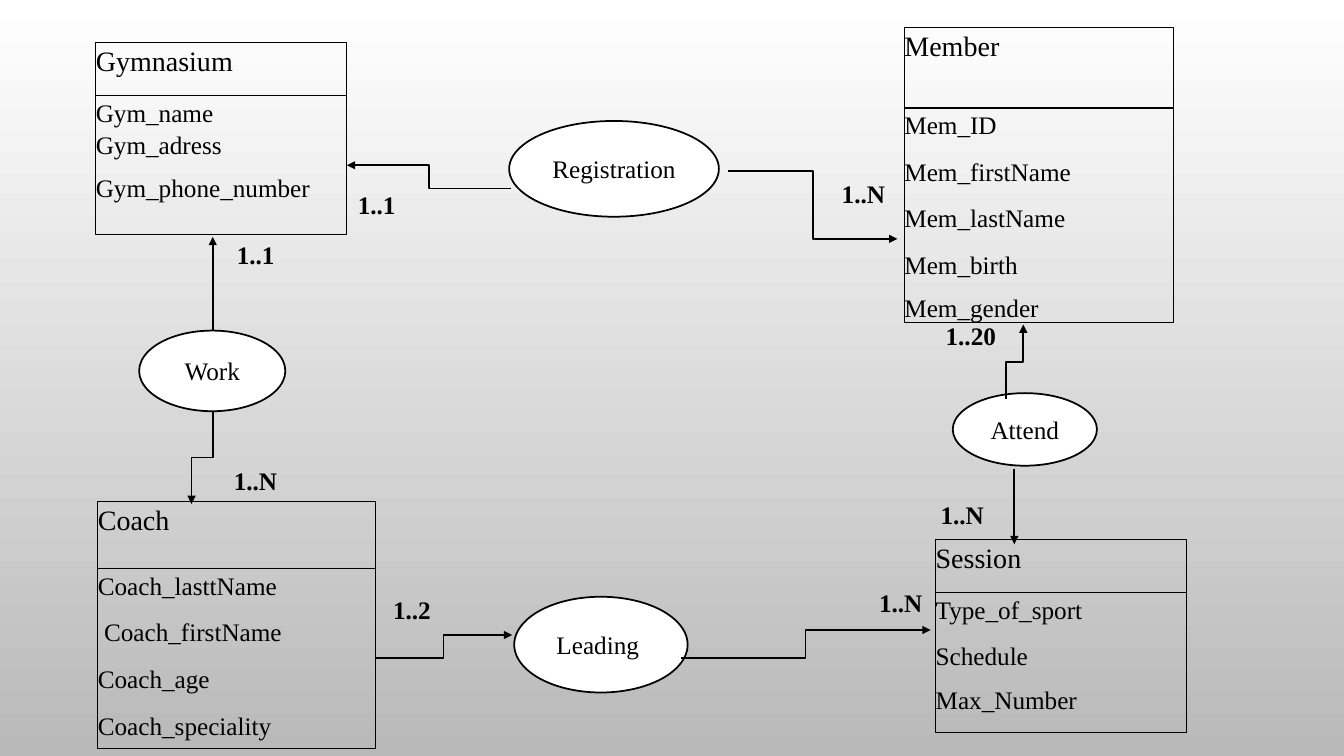
from dataclasses import dataclass

from lxml.etree import SubElement
from pptx import Presentation
from pptx.dml.color import RGBColor
from pptx.enum.shapes import MSO_CONNECTOR, MSO_SHAPE
from pptx.enum.text import MSO_ANCHOR, MSO_AUTO_SIZE, PP_ALIGN
from pptx.oxml.ns import qn
from pptx.util import Pt

SCALE = 9144


@dataclass(frozen=True)
class Theme:
    ink: RGBColor = RGBColor(0, 0, 0)
    paper: RGBColor = RGBColor(255, 255, 255)
    shade: RGBColor = RGBColor(0xB9, 0xB9, 0xB9)
    font: str = "Times New Roman"
    heading: int = 20
    body: int = 18
    frame: float = 0.46
    stroke: float = 1.25


THEME = Theme()

ENTITIES = [
    ((97, 497, 275, 245), 67, "Coach",
     ["Coach_lasttName", " Coach_firstName ", "Coach_age", "Coach_speciality"],
     PP_ALIGN.JUSTIFY, 2.6, 0),
    ((897, 27, 267, 293), 80, "Member",
     ["Mem_ID", "Mem_firstName", "Mem_lastName", "Mem_birth", "Mem_gender"],
     PP_ALIGN.JUSTIFY, 0.1, 0),
    ((928, 535, 249, 192), 53, "Session",
     ["Type_of_sport ", "Schedule", "Max_Number"],
     PP_ALIGN.JUSTIFY, 0.1, 0),
    ((95, 42, 249, 191), 53, "Gymnasium",
     ["Gym_name Gym_adress", "Gym_phone_number"],
     PP_ALIGN.LEFT, 0, 20),
]

RELATIONS = [
    ("Work", (138, 328, 145, 80)),
    ("Registration ", (505, 120, 208, 95)),
    ("Attend", (945, 390, 143, 72)),
    ("Leading ", (510, 592, 172, 95)),
]

ARROWS = [
    ((211, 408), (190, 500), True),
    ((507, 187), (344, 164), False),
    ((722, 170), (890, 237), False),
    ((372, 653), (508, 630), False),
    ((675, 653), (923, 625), False),
    ((998, 396), (1015, 322), True),
    ((211, 328), (211, 235), False),
    ((1006, 465), (1006, 540), False),
]

CARDINALITIES = [
    ("1..1", 225, 232), ("1..N", 222, 457),
    ("1..1", 345, 183), ("1..N", 825, 172),
    ("1..20", 928, 313), ("1..N", 923, 490),
    ("1..2", 380, 585), ("1..N", 862, 578),
]


def emu(*lengths):
    return [round(length * SCALE) for length in lengths]


def add_text(para, text, size, bold=False):
    span = para.add_run()
    span.text = text
    span.font.name = THEME.font
    span.font.size = Pt(size)
    span.font.bold = bold
    span.font.color.rgb = THEME.ink


def add_outline(shapes, kind, box, width):
    shape = shapes.add_shape(kind, *emu(*box))
    shape.shadow.inherit = False
    shape.fill.background()
    shape.line.color.rgb = THEME.ink
    shape.line.width = Pt(width)
    shape.text_frame.word_wrap = True
    return shape


def add_cell(shapes, box, lines, size, align, spaces, inset=0):
    frame = add_outline(shapes, MSO_SHAPE.RECTANGLE, box, THEME.frame).text_frame
    frame.vertical_anchor = MSO_ANCHOR.TOP
    frame.margin_left = frame.margin_top = frame.margin_bottom = 0
    frame.margin_right = emu(inset)[0]
    for index, (line, space) in enumerate(zip(lines, spaces)):
        para = frame.add_paragraph() if index else frame.paragraphs[0]
        para.alignment = align
        para.line_spacing = 1.05
        para.space_before = Pt(space)
        para.space_after = Pt(8)
        add_text(para, line, size)


def add_entity(page, box, header, name, fields, align, last_space, inset):
    left, top, width, height = box
    shapes = page.shapes.add_group_shape().shapes
    spaces = [2.6] * (len(fields) - 1) + [last_space]
    add_cell(shapes, (left, top + header, width, height - header),
             fields, THEME.body, align, spaces, inset)
    add_cell(shapes, (left, top, width, header),
             [name], THEME.heading, PP_ALIGN.LEFT, [2.5])


def add_relation(page, name, box):
    oval = add_outline(page.shapes, MSO_SHAPE.OVAL, box, THEME.stroke)
    oval.fill.solid()
    oval.fill.fore_color.rgb = THEME.paper
    oval.text_frame.vertical_anchor = MSO_ANCHOR.MIDDLE
    para = oval.text_frame.paragraphs[0]
    para.alignment = PP_ALIGN.CENTER
    add_text(para, name, THEME.body)


def add_arrow(page, start, end, upright):
    (x1, y1), (x2, y2) = start, end
    kind = MSO_CONNECTOR.STRAIGHT if x1 == x2 else MSO_CONNECTOR.ELBOW
    if upright:
        middle_x, middle_y = (x1 + x2) / 2, (y1 + y2) / 2
        half_x, half_y = (y2 - y1) / 2, (x1 - x2) / 2
        x1, y1 = middle_x - half_x, middle_y - half_y
        x2, y2 = middle_x + half_x, middle_y + half_y
    arrow = page.shapes.add_connector(kind, *emu(x1, y1, x2, y2))
    arrow.line.color.rgb = THEME.ink
    arrow.line.width = Pt(THEME.stroke)
    properties = arrow.element.spPr
    if upright:
        properties.find(qn("a:xfrm")).set("rot", "5400000")
    SubElement(properties.find(qn("a:ln")), qn("a:tailEnd"), type="triangle")
    SubElement(properties, qn("a:effectLst"))


def add_cardinality(page, text, left, top):
    frame = page.shapes.add_textbox(*emu(left, top, 82, 42)).text_frame
    frame.word_wrap = True
    frame.auto_size = MSO_AUTO_SIZE.SHAPE_TO_FIT_TEXT
    add_text(frame.paragraphs[0], text, THEME.body, bold=True)


def paint_background(page):
    fill = page.background.fill
    fill.gradient()
    fill.gradient_angle = 270
    for stop, color, position in zip(
            fill.gradient_stops, (THEME.paper, THEME.shade), (0, 1)):
        stop.color.rgb = color
        stop.position = position


def main():
    deck = Presentation()
    deck.slide_width, deck.slide_height = emu(1333, 750)
    page = deck.slides.add_slide(deck.slide_layouts[6])
    paint_background(page)
    for entity in ENTITIES:
        add_entity(page, *entity)
    for relation in RELATIONS:
        add_relation(page, *relation)
    for arrow in ARROWS:
        add_arrow(page, *arrow)
    for cardinality in CARDINALITIES:
        add_cardinality(page, *cardinality)
    deck.save("out.pptx")


if __name__ == "__main__":
    main()
